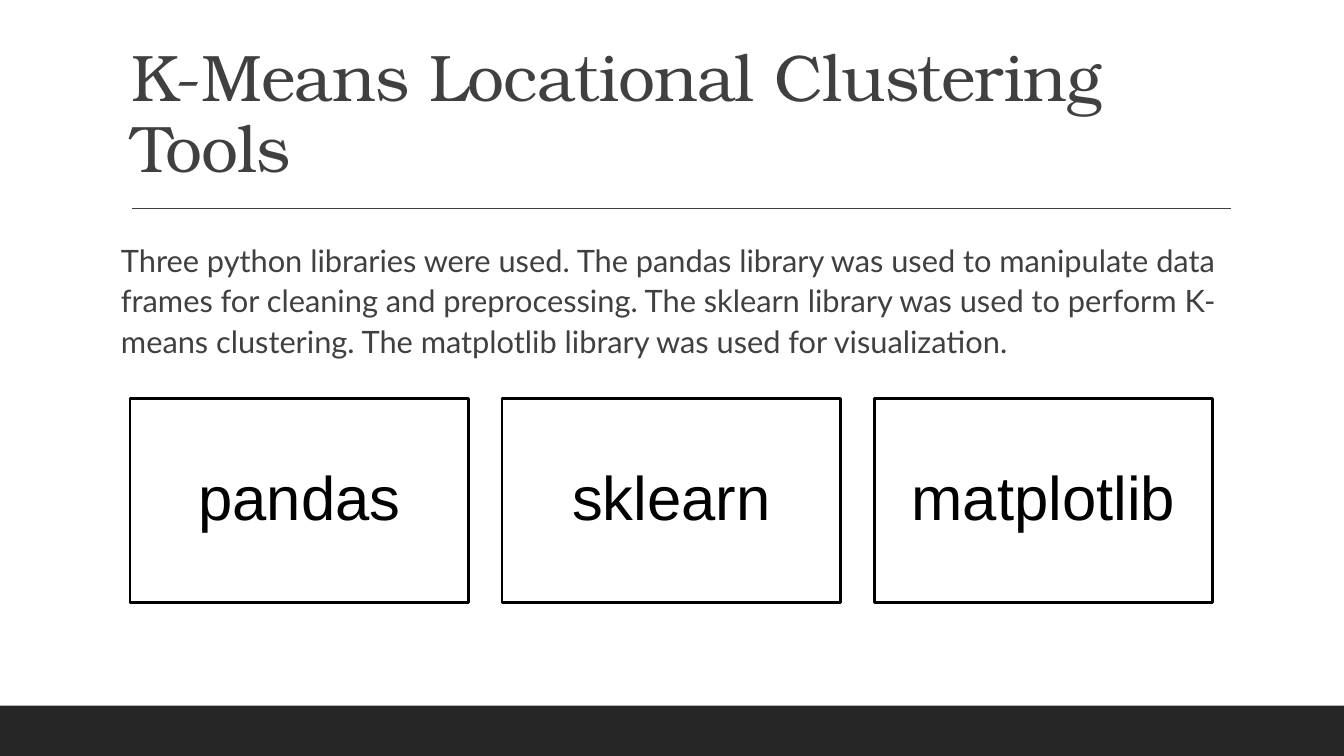
from pptx import Presentation
from pptx.dml.color import RGBColor
from pptx.enum.shapes import MSO_CONNECTOR, MSO_SHAPE
from pptx.enum.text import MSO_ANCHOR, MSO_AUTO_SIZE, PP_ALIGN
from pptx.oxml.ns import qn
from pptx.util import Inches, Pt
from lxml.etree import SubElement

CHARCOAL = RGBColor(0x26, 0x26, 0x26)
GREY = RGBColor(0x40, 0x40, 0x40)
BLACK = RGBColor(0, 0, 0)
WHITE = RGBColor(0xFF, 0xFF, 0xFF)

SLIDE_WIDTH, SLIDE_HEIGHT = 13.33, 7.5
FOOTER_HEIGHT = SLIDE_HEIGHT / 15
CONTENT_LEFT, CONTENT_WIDTH = 1.2, 11
CARD_LEFT, CARD_TOP = 1.29, 3.95
CARD_WIDTH, CARD_HEIGHT = 3.36, 2.03
CARD_PITCH = CARD_WIDTH + 0.33

TITLE = "K-Means Locational Clustering Tools"
SUMMARY = (
    "Three python libraries were used. The pandas library was used to "
    "manipulate data frames for cleaning and preprocessing. The sklearn "
    "library was used to perform K-means clustering. The matplotlib library "
    "was used for visualization."
)
LIBRARIES = ["pandas", "sklearn", "matplotlib"]


def write(shape, text, font, size, color, anchor, align, line_spacing, inset):
    """Fill a shape with one formatted paragraph; inset is (sides, top and bottom)."""
    frame = shape.text_frame
    frame.text = text
    frame.word_wrap = True
    frame.auto_size = MSO_AUTO_SIZE.NONE
    frame.vertical_anchor = anchor
    frame.margin_left = frame.margin_right = Inches(inset[0])
    frame.margin_top = frame.margin_bottom = Inches(inset[1])
    paragraph = frame.paragraphs[0]
    paragraph.alignment = align
    paragraph.line_spacing = line_spacing
    run = paragraph.runs[0]
    run.font.name = font
    run.font.size = Pt(size)
    run.font.color.rgb = color
    return paragraph


def place(shape, left, top, width, height):
    shape.left, shape.top = Inches(left), Inches(top)
    shape.width, shape.height = Inches(width), Inches(height)


def add_box(slide, left, top, width, height, fill):
    box = slide.shapes.add_shape(
        MSO_SHAPE.RECTANGLE, Inches(left), Inches(top), Inches(width), Inches(height)
    )
    box.shadow.inherit = False
    box.fill.solid()
    box.fill.fore_color.rgb = fill
    box.line.fill.background()
    return box


def add_title_rule(slide):
    rule = slide.shapes.add_connector(
        MSO_CONNECTOR.STRAIGHT, Inches(1.31), Inches(2.07), Inches(12.21), Inches(2.07)
    )
    rule.line.color.rgb = GREY
    rule.line.width = Pt(1)
    SubElement(rule._element.spPr, qn("a:effectLst"))


def set_title(slide):
    title = slide.shapes.title
    place(title, CONTENT_LEFT, 0.31, CONTENT_WIDTH, 1.59)
    heading = write(title, TITLE, "TeX Gyre Bonum", 47, GREY,
                    MSO_ANCHOR.BOTTOM, PP_ALIGN.LEFT, 0.9, (0.1, 0.05))
    heading.runs[0].font._element.set("spc", "-50")


def set_summary(slide):
    body = slide.placeholders[1]
    place(body, CONTENT_LEFT, 2.31, CONTENT_WIDTH, 4.11)
    summary = write(body, SUMMARY, "Lato", 22, GREY,
                    MSO_ANCHOR.TOP, PP_ALIGN.LEFT, 1.1, (0, 0.05))
    summary.space_before = Pt(12)
    summary.space_after = Pt(2)
    properties = summary._p.get_or_add_pPr()
    properties.set("marL", "0")
    properties.set("indent", "0")
    SubElement(properties, qn("a:buNone"))


def add_library_card(slide, column, library):
    card = add_box(slide, CARD_LEFT + column * CARD_PITCH, CARD_TOP,
                   CARD_WIDTH, CARD_HEIGHT, WHITE)
    card.line.color.rgb = BLACK
    card.line.width = Pt(2)
    label = write(card, library, "Arial", 44, BLACK,
                  MSO_ANCHOR.MIDDLE, PP_ALIGN.CENTER, 0.9, (0.26, 0.26))
    label.space_after = Pt(21.7)


def main():
    deck = Presentation()
    deck.slide_width = Inches(SLIDE_WIDTH)
    deck.slide_height = Inches(SLIDE_HEIGHT)
    slide = deck.slides.add_slide(deck.slide_layouts[1])
    add_box(slide, 0, SLIDE_HEIGHT - FOOTER_HEIGHT, SLIDE_WIDTH, FOOTER_HEIGHT, CHARCOAL)
    add_title_rule(slide)
    set_title(slide)
    set_summary(slide)
    for column, library in enumerate(LIBRARIES):
        add_library_card(slide, column, library)
    deck.save("out.pptx")


if __name__ == "__main__":
    main()
